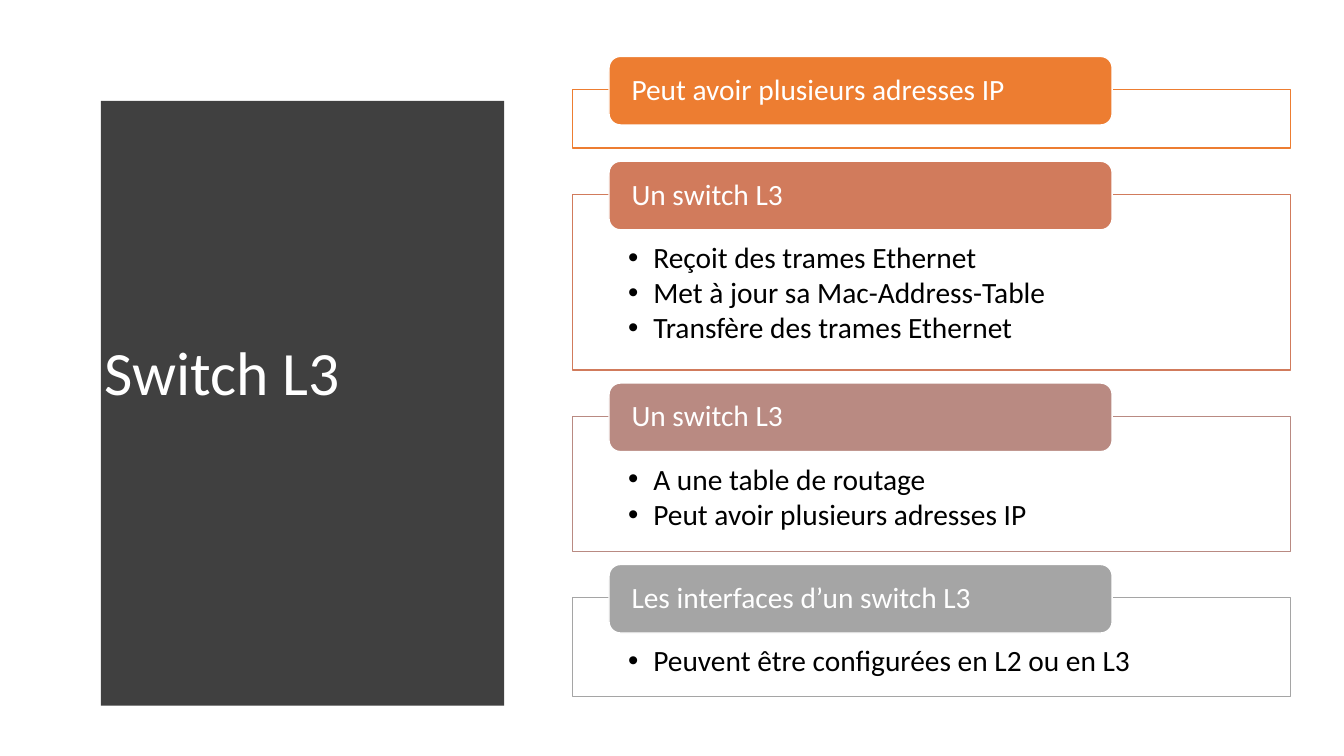
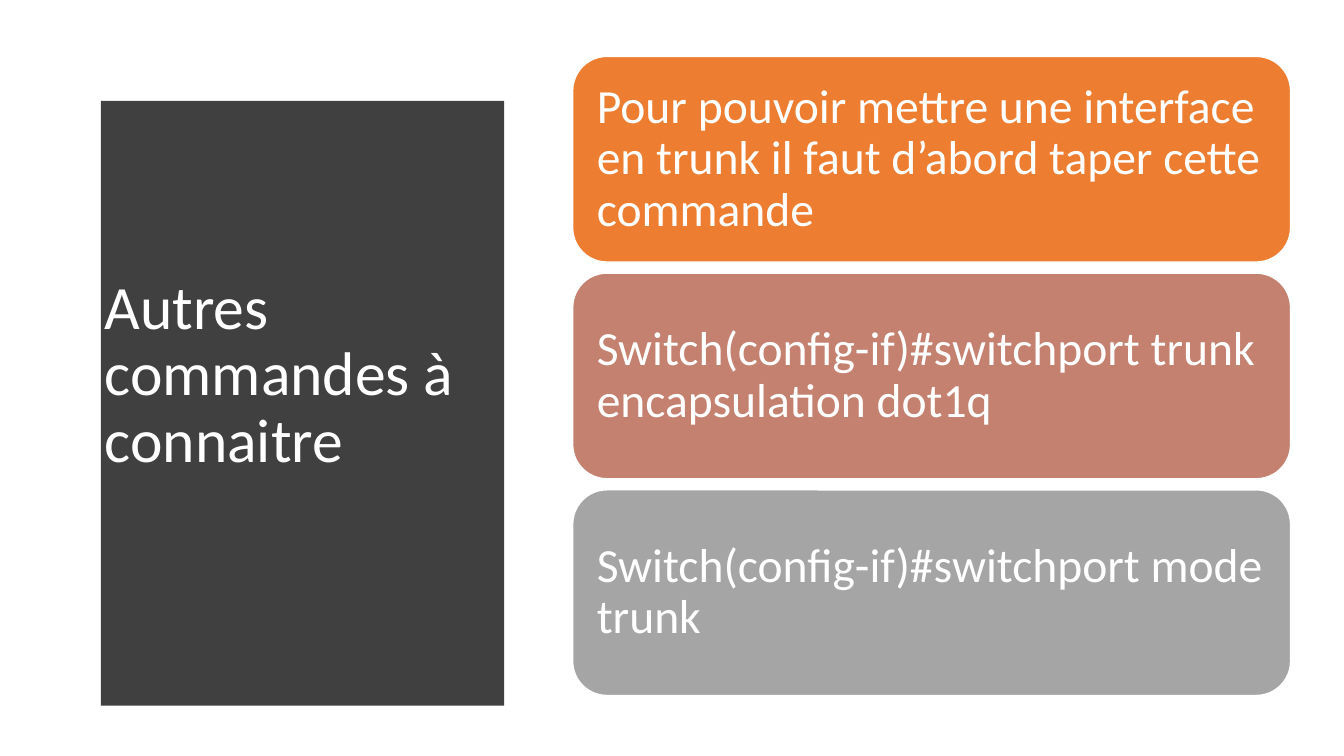
"""Build two French slides about layer 3 switches."""
from lxml import etree
from pptx import Presentation
from pptx import util as u
from pptx.dml.color import RGBColor
from pptx.enum import shapes, text
from pptx.oxml import ns

WHITE, BLACK, CHARCOAL = "FFFFFF", "000000", "404040"
ORANGE, CORAL, TERRACOTTA, ROSE, GREY = "ED7D31", "D17B5C", "C48170", "B98A82", "A5A5A5"
FONT = "Calibri"
CONTENT_LEFT, CONTENT_WIDTH = 5.68, 7.12
PANEL_OUTLINE = [
    (0.53, 0.52), (5.08, 0.52), (5.11, 0.74), (5.16, 1.04), (5.2, 1.34),
    (5.23, 1.64), (5.26, 1.94), (5.28, 2.24), (5.3, 2.6), (5.31, 2.9),
    (5.32, 3.25), (5.32, 3.8), (5.31, 4.2), (5.3, 4.52), (5.28, 4.95),
    (5.25, 5.4), (5.22, 5.81), (5.18, 6.17), (5.14, 6.48), (5.11, 6.72),
    (5.08, 6.96), (0.53, 6.96),
]


def color(value):
    """Turn a hex string into a colour."""
    return RGBColor.from_string(value)


def write(box, lines, size, ink=WHITE, anchor=text.MSO_ANCHOR.MIDDLE,
          insets=(0.1, 0.05, 0.1, 0.05), after=0, bullet=False):
    """Fill a box with formatted paragraphs."""
    frame = box.text_frame
    frame.word_wrap = True
    frame.auto_size = text.MSO_AUTO_SIZE.NONE
    frame.vertical_anchor = anchor
    (frame.margin_left, frame.margin_top,
     frame.margin_right, frame.margin_bottom) = map(u.Inches, insets)
    for index, line in enumerate(lines):
        para = frame.paragraphs[0] if index == 0 else frame.add_paragraph()
        para.alignment = text.PP_ALIGN.LEFT
        para.line_spacing = 0.9
        para.space_after = u.Pt(after)
        span = para.add_run()
        span.text = line
        span.font.name = FONT
        span.font.size = u.Pt(size)
        span.font.color.rgb = color(ink)
        if bullet:
            props = para._p.get_or_add_pPr()
            props.set("marL", str(u.Inches(0.25)))
            props.set("indent", str(u.Inches(-0.25)))
            etree.SubElement(props, ns.qn("a:buFont"), typeface="Arial")
            etree.SubElement(props, ns.qn("a:buChar"), char="•")


class Builder:
    """Hold the deck style and the current page."""

    def __init__(self):
        """Start an empty widescreen deck."""
        self.deck = Presentation()
        self.deck.slide_width = u.Inches(13.33)
        self.deck.slide_height = u.Inches(7.5)

    def start_page(self, title):
        """Add a page with the curved title panel."""
        self.page = self.deck.slides.add_slide(self.deck.slide_layouts[6])
        outline = self.page.shapes.build_freeform(
            *PANEL_OUTLINE[0], scale=u.Inches(1))
        outline.add_line_segments(PANEL_OUTLINE[1:], close=True)
        panel = outline.convert_to_shape()
        panel.shadow.inherit = False
        panel.fill.solid()
        panel.fill.fore_color.rgb = color(CHARCOAL)
        panel.line.fill.background()
        box = self.page.shapes.add_textbox(
            *map(u.Inches, (0.94, 1.11, 3.74, 5.24)))
        write(box, [title], 44)

    def block(self, kind, place, fill, line):
        """Add a filled preset shape with a thin outline."""
        box = self.page.shapes.add_shape(kind, *map(u.Inches, place))
        box.shadow.inherit = False
        box.fill.solid()
        box.fill.fore_color.rgb = color(fill)
        box.line.color.rgb = color(line)
        box.line.width = u.Pt(1)
        return box

    def section(self, top, height, accent, heading, points):
        """Add a framed bullet list under a coloured tab."""
        frame = self.block(shapes.MSO_SHAPE.RECTANGLE,
                           (CONTENT_LEFT, top, CONTENT_WIDTH, height), WHITE, accent)
        tint = frame.element.spPr.find(ns.qn("a:solidFill"))[0]
        etree.SubElement(tint, ns.qn("a:alpha"), val="90000")
        write(frame, points, 21, ink=BLACK, anchor=text.MSO_ANCHOR.TOP,
              insets=(0.55, 0.48, 0.55, 0.16), after=2.5, bullet=True)
        tab = self.block(shapes.MSO_SHAPE.ROUNDED_RECTANGLE,
                         (CONTENT_LEFT + 0.36, top - 0.33, 4.99, 0.68), accent, WHITE)
        write(tab, [heading], 21, insets=(0.19, 0, 0.19, 0))

    def card(self, top, accent, message):
        """Add a large rounded card with one message."""
        card = self.block(shapes.MSO_SHAPE.ROUNDED_RECTANGLE,
                          (CONTENT_LEFT, top, CONTENT_WIDTH, 2.04), accent, WHITE)
        write(card, [message], 34, insets=(0.14,) * 4)


SECTIONS = [
    (0.58, ORANGE, "Peut avoir plusieurs adresses IP", []),
    (1.74, CORAL, "Un switch L3", [
        "Reçoit des trames Ethernet",
        "Met à jour sa Mac-Address-Table",
        "Transfère des trames Ethernet"]),
    (1.34, ROSE, "Un switch L3", [
        "A une table de routage",
        "Peut avoir plusieurs adresses IP"]),
    (0.98, GREY, "Les interfaces d’un switch L3", [
        "Peuvent être configurées en L2 ou en L3"]),
]
CARDS = [
    (ORANGE, "Pour pouvoir mettre une interface en trunk il faut d’abord taper cette commande"),
    (TERRACOTTA, "Switch(config-if)#switchport trunk encapsulation dot1q"),
    (GREY, "Switch(config-if)#switchport mode trunk"),
]

builder = Builder()
builder.start_page("Switch L3")
section_top = 0.89
for height, accent, heading, points in SECTIONS:
    builder.section(section_top, height, accent, heading, points)
    section_top += height + 0.46

builder.start_page("Autres commandes à connaitre")
for index, (accent, message) in enumerate(CARDS):
    builder.card(0.56 + index * 2.15, accent, message)

builder.deck.save("out.pptx")
